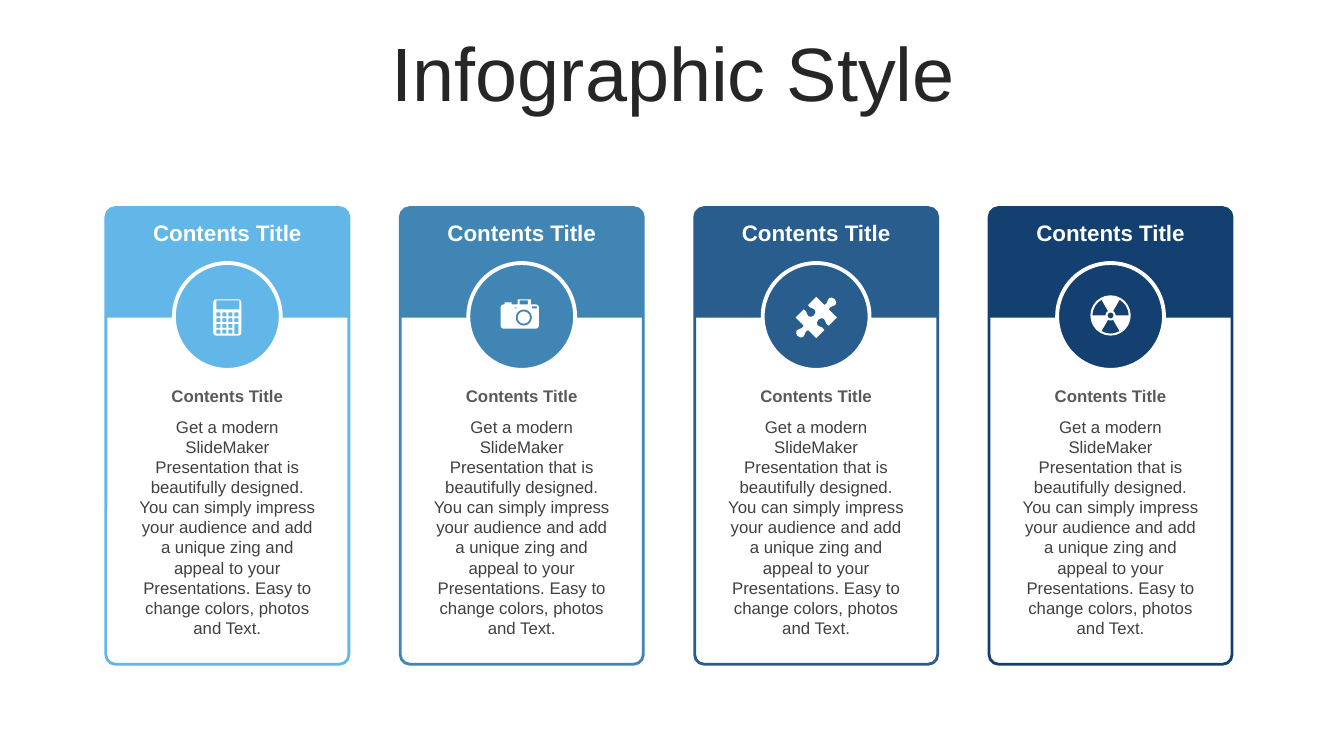
from math import cos, radians, sin

from pptx import Presentation
from pptx.dml.color import RGBColor
from pptx.enum.shapes import MSO_SHAPE as Shape
from pptx.enum.text import MSO_ANCHOR as Anchor, MSO_AUTO_SIZE as AutoSize, PP_ALIGN as Align
from pptx.util import Inches, Pt

WHITE = RGBColor(0xFF, 0xFF, 0xFF)
TITLE_GRAY = RGBColor(0x26, 0x26, 0x26)
BODY_GRAY = RGBColor(0x40, 0x40, 0x40)
HEADING_GRAY = RGBColor(0x59, 0x59, 0x59)
SKY = RGBColor(0x62, 0xB7, 0xE8)
STEEL = RGBColor(0x41, 0x85, 0xB5)
DENIM = RGBColor(0x28, 0x5D, 0x8D)
NAVY = RGBColor(0x13, 0x40, 0x70)

CARD_LEFT, CARD_TOP, CARD_PITCH = 1.05, 2.06, 2.92
CARD_WIDTH, CARD_HEIGHT, HEADER_HEIGHT = 2.41, 4.53, 1.09
CORNER = 0.09
BADGE_SIZE = 1.06
TEXT_INSET, TEXT_WIDTH = 0.22, 1.97
CARD_TITLE = "Contents Title"
CARD_BODY = (
    "Get a modern SlideMaker Presentation that is beautifully designed. "
    "You can simply impress your audience and add a unique zing and appeal to your "
    "Presentations. Easy to change colors, photos and Text."
)


def arc(x, y, radius, start, end, steps=3):
    """Return points along an arc, with angles in degrees clockwise from the right."""
    angles = [radians(start + (end - start) * step / steps) for step in range(steps + 1)]
    return [(x + radius * cos(angle), y + radius * sin(angle)) for angle in angles]


def circle(x, y, radius, steps=20):
    """Return the outline of a circle."""
    return arc(x, y, radius, 0, 360, steps)[:-1]


def box(left, top, right, bottom):
    """Return the outline of a rectangle, from the top left."""
    return [(left, top), (right, top), (right, bottom), (left, bottom)]


def rounded_top(left, top, right, radius):
    """Return the two rounded upper corners of a panel, from left to right."""
    return (arc(left + radius, top + radius, radius, 180, 270)
            + arc(right - radius, top + radius, radius, 270, 360))


def rounded_bottom(left, right, bottom, radius):
    """Return the two rounded lower corners of a panel, from right to left."""
    return (arc(right - radius, bottom - radius, radius, 0, 90)
            + arc(left + radius, bottom - radius, radius, 90, 180))


def calculator(x):
    """Return the outlines of a calculator centred at x."""
    left, right = x - 0.14, x + 0.14
    case = rounded_top(left, 2.97, right, 0.03) + rounded_bottom(left, right, 3.33, 0.03)
    outlines = [case, box(x - 0.11, 2.98, x + 0.12, 3.07)]
    for column in range(4):
        for row in range(3 if column == 3 else 4):
            left, top = x - 0.11 + 0.06 * column, 3.1 + 0.057 * row
            height = 0.1 if (column, row) == (3, 2) else 0.04
            outlines.append(box(left, top, left + 0.04, top + height))
    return outlines


def camera(x):
    """Return the outlines of a camera around x."""
    left, right = x - 0.21, x + 0.17
    humps = [(-0.17, 3.02), (-0.17, 3), (-0.1, 3), (-0.1, 3.02),
             (-0.04, 3.02), (-0.04, 2.97), (0.09, 2.97), (0.09, 3.02)]
    upper = rounded_top(left, 3.02, right, 0.03)
    middle = len(upper) // 2
    body = upper[:middle] + [(x + offset, y) for offset, y in humps] + upper[middle:]
    return [
        body + rounded_bottom(left, right, 3.26, 0.03),
        box(x - 0.02, 2.98, x + 0.06, 3.02),
        box(x - 0.07, 3.05, x - 0.05, 3.06),
        box(x + 0.1, 3.04, x + 0.15, 3.06),
        circle(x + 0.02, 3.15, 0.08),
        circle(x + 0.02, 3.15, 0.06),
    ]


def puzzle(x):
    """Return the upright outline of a puzzle piece centred at x."""
    y, half = 3.15, 0.145
    profile = [(0, 0.03), (0.03, 0.027), (0.06, 0.04), (0.085, 0.045), (0.105, 0.03), (0.115, 0)]
    knob = [(depth, -width) for depth, width in profile] + profile[-2::-1]
    top = [(-half, -half)] + [(along, -half - depth) for depth, along in knob]
    right = [(half, -half)] + [(half - depth, along) for depth, along in knob]
    upper = top + right
    return [[(x + dx, y + dy) for dx, dy in upper + [(-dx, -dy) for dx, dy in upper]]]


def radiation(x):
    """Return the outlines of a radiation sign centred at x."""
    y = 3.13
    blades = [
        arc(x, y, 0.18, start, start + 60, 4) + arc(x, y, 0.05, start + 60, start)
        for start in (-60, 60, 180)
    ]
    return [circle(x, y, 0.2, 24), circle(x, y, 0.03, 10)] + blades


def style(shape, fill, line=None, width=0):
    """Give a shape its fill and its outline."""
    shape.shadow.inherit = False
    shape.fill.solid()
    shape.fill.fore_color.rgb = fill
    if line is None:
        shape.line.fill.background()
    else:
        shape.line.color.rgb = line
        shape.line.width = Pt(width)


def add_preset(shapes, kind, left, top, width, height, fill, line, line_width):
    """Add a preset shape with a fill and an outline."""
    shape = shapes.add_shape(kind, Inches(left), Inches(top), Inches(width), Inches(height))
    style(shape, fill, line, line_width)
    return shape


def add_outline(shapes, outlines, fill):
    """Add a filled freeform made of closed outlines."""
    builder = None
    for outline in outlines:
        start, *others = [(Inches(x), Inches(y)) for x, y in outline]
        if builder is None:
            builder = shapes.build_freeform(*start)
        else:
            builder.move_to(*start)
        builder.add_line_segments(others, close=True)
    shape = builder.convert_to_shape()
    style(shape, fill)
    return shape


def add_text(shapes, text, left, top, width, height, *, size, color, bold=False,
             margin=0.1, anchor=Anchor.TOP, grow=True, spacing=None):
    """Add a centred text box."""
    frame = shapes.add_textbox(Inches(left), Inches(top), Inches(width), Inches(height)).text_frame
    frame.word_wrap = True
    frame.auto_size = AutoSize.SHAPE_TO_FIT_TEXT if grow else AutoSize.NONE
    frame.vertical_anchor = anchor
    frame.margin_left = frame.margin_right = Inches(margin)
    paragraph = frame.paragraphs[0]
    paragraph.alignment = Align.CENTER
    paragraph.line_spacing = spacing
    run = paragraph.add_run()
    run.text = text
    run.font.name = "Arial"
    run.font.size = Pt(size)
    run.font.bold = bold
    run.font.color.rgb = color


def add_card(slide, left, color, icon, rotation):
    """Add one card with its header, badge, texts and icon."""
    right, middle = left + CARD_WIDTH, left + CARD_WIDTH / 2
    text_left = left + TEXT_INSET
    panel = slide.shapes.add_group_shape().shapes
    frame = add_preset(panel, Shape.ROUNDED_RECTANGLE, left, CARD_TOP, CARD_WIDTH, CARD_HEIGHT,
                       WHITE, color, 2)
    frame.adjustments[0] = 0.039
    header_bottom = CARD_TOP + HEADER_HEIGHT
    header = rounded_top(left, CARD_TOP, right, CORNER)
    add_outline(panel, [header + [(right, header_bottom), (left, header_bottom)]], color)
    add_preset(slide.shapes, Shape.OVAL, middle - BADGE_SIZE / 2, 2.61, BADGE_SIZE, BADGE_SIZE,
               color, WHITE, 2.75)
    add_text(slide.shapes, CARD_TITLE, text_left, 2.13, TEXT_WIDTH, 0.37,
             size=16, color=WHITE, bold=True, margin=0.12)
    texts = slide.shapes.add_group_shape().shapes
    add_text(texts, CARD_BODY, text_left, 4.08, TEXT_WIDTH, 2.32, size=12, color=BODY_GRAY)
    add_text(texts, CARD_TITLE, text_left, 3.78, TEXT_WIDTH, 0.3,
             size=12, color=HEADING_GRAY, bold=True, margin=0.12)
    add_outline(slide.shapes, icon(middle), WHITE).rotation = rotation


def main():
    """Build the slide and save it."""
    presentation = Presentation()
    presentation.slide_width, presentation.slide_height = Inches(13.33), Inches(7.5)
    slide = presentation.slides.add_slide(presentation.slide_layouts[6])
    add_text(slide.shapes, "Infographic Style", 0.35, 0.37, 12.66, 0.79, size=54,
             color=TITLE_GRAY, anchor=Anchor.MIDDLE, grow=False, spacing=0.9)
    cards = [(SKY, calculator, 0), (STEEL, camera, 0), (DENIM, puzzle, 45), (NAVY, radiation, 0)]
    for index, (color, icon, rotation) in enumerate(cards):
        add_card(slide, CARD_LEFT + CARD_PITCH * index, color, icon, rotation)
    presentation.save("out.pptx")


if __name__ == "__main__":
    main()
